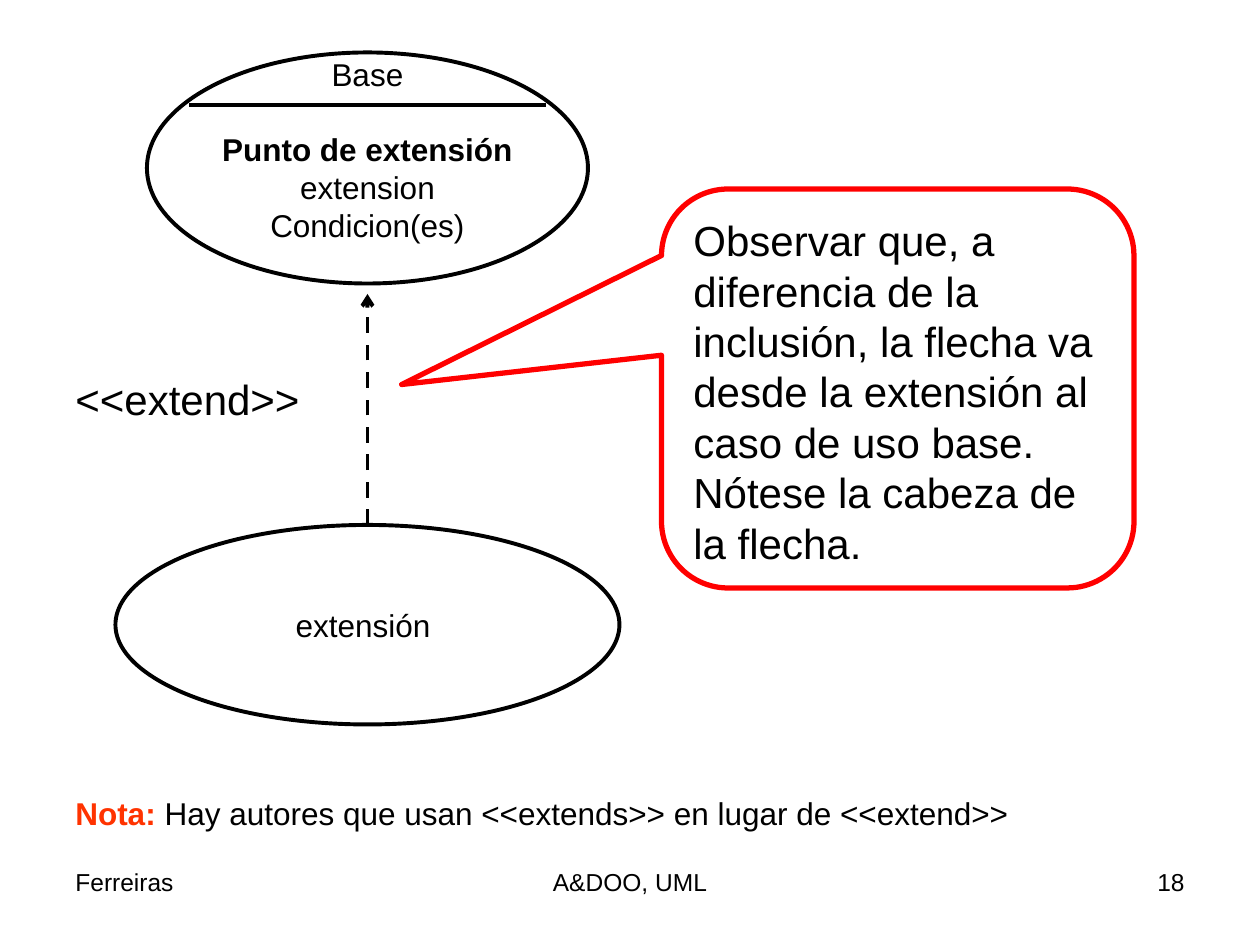
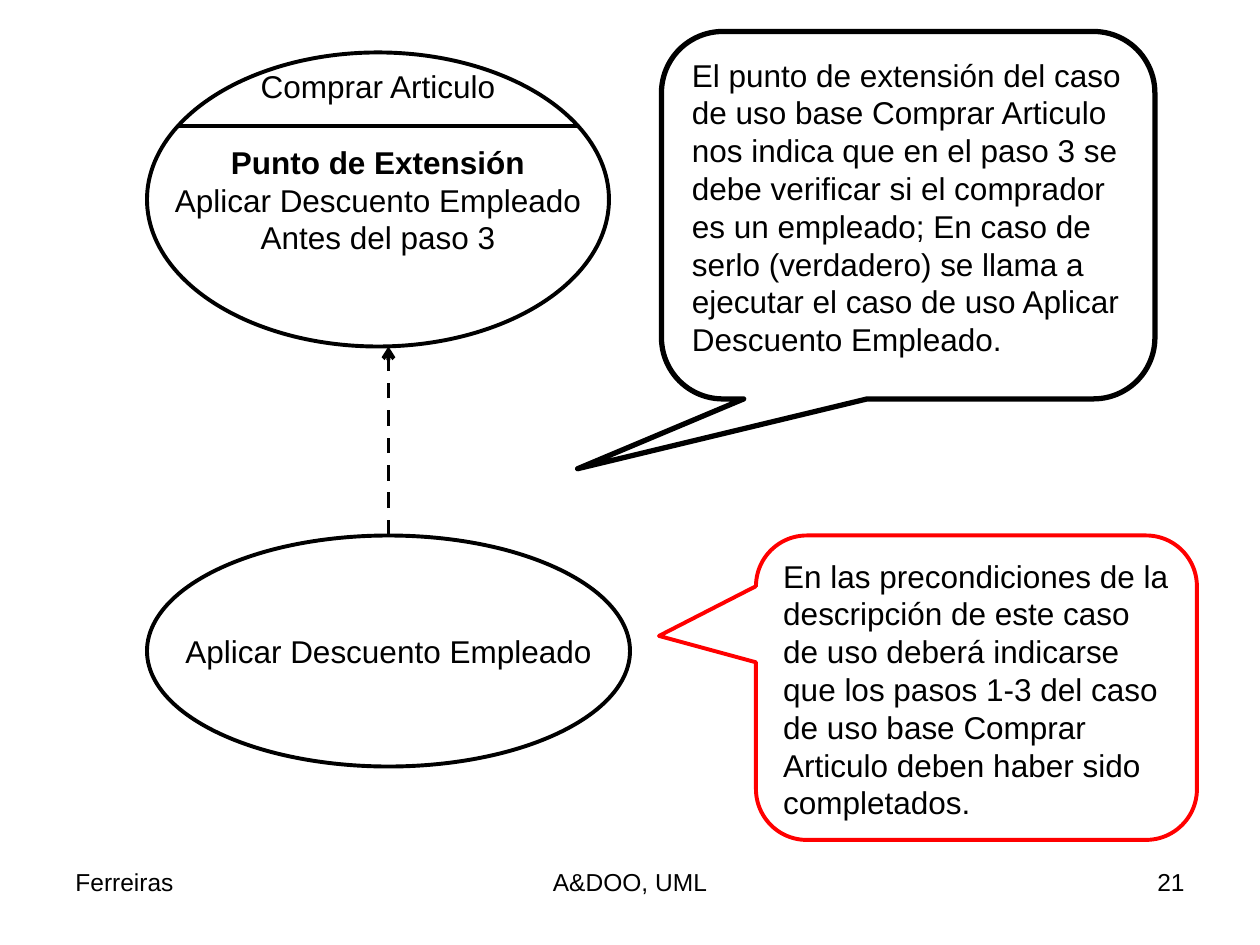
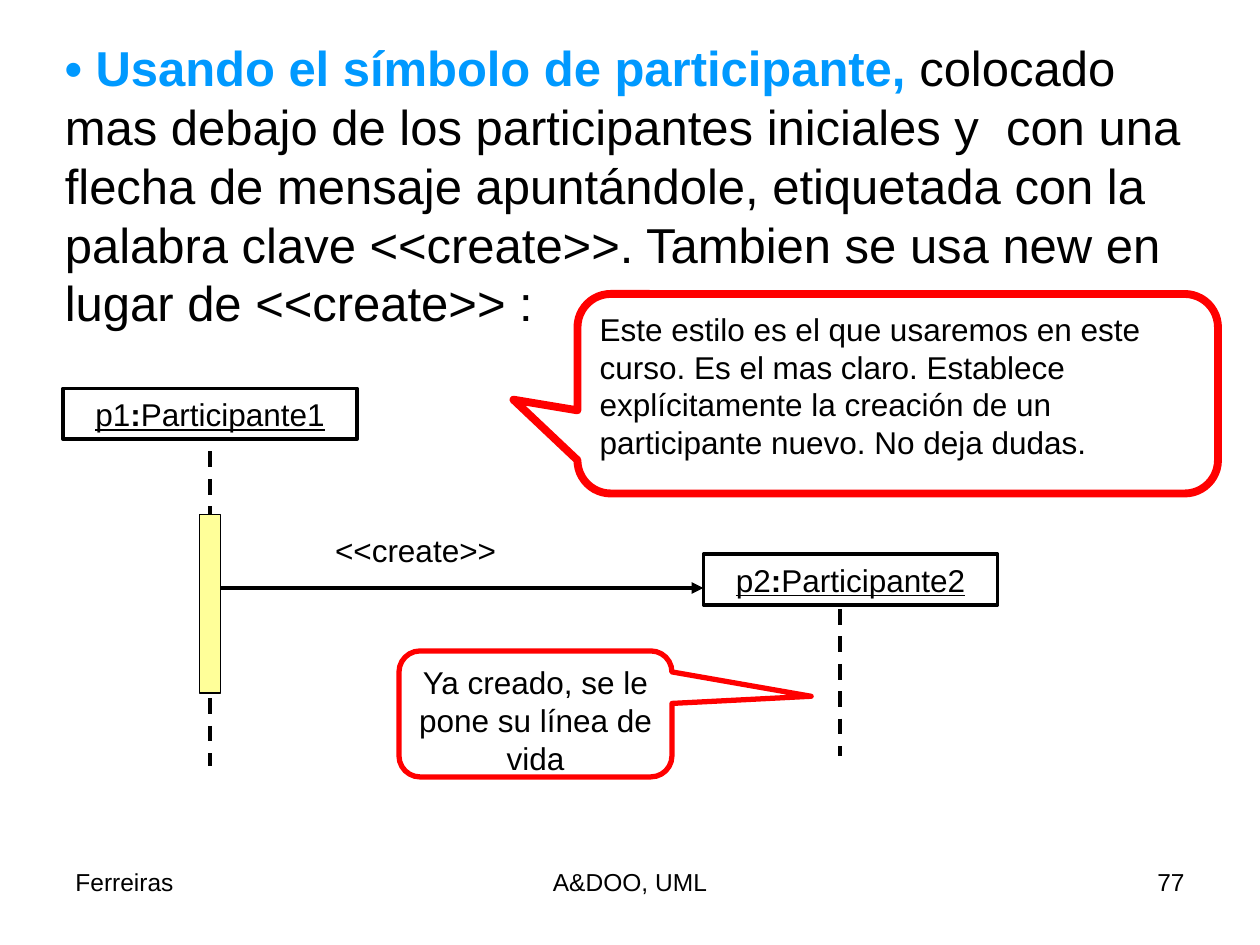
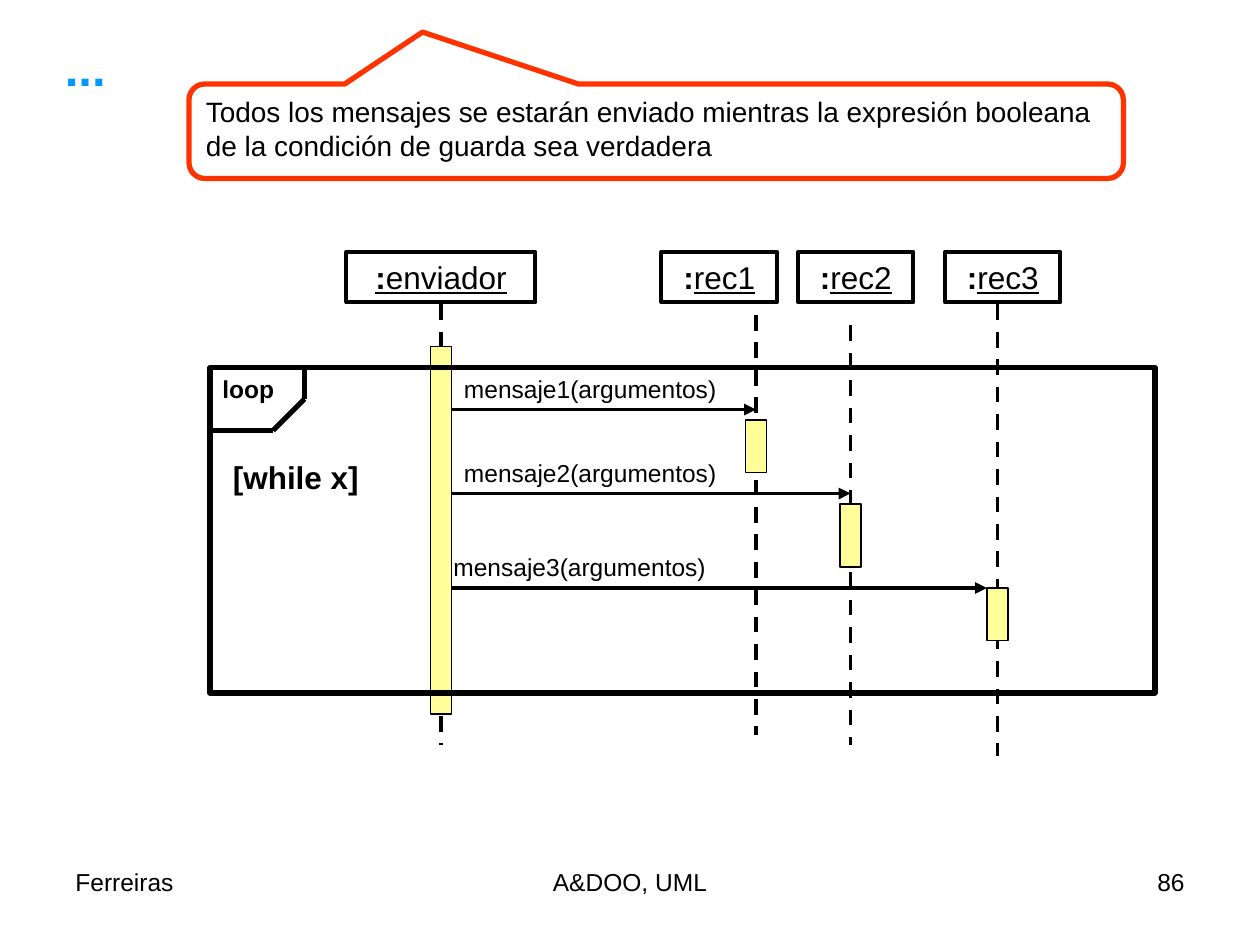
from pptx import Presentation
from pptx.dml.color import RGBColor
from pptx.enum.dml import MSO_LINE
from pptx.enum.shapes import MSO_CONNECTOR, MSO_SHAPE
from pptx.enum.text import MSO_ANCHOR, MSO_AUTO_SIZE, PP_ALIGN
from pptx.oxml.ns import qn
from pptx.util import Inches, Pt
from lxml.etree import SubElement

# The grid has 120 columns and 90 rows; one cell is a twelfth of an inch.
COLS, ROWS = 120, 90
CELL = Inches(10) / COLS
FONT = "Arial"
HEX = {"ink": "000000", "red": "FF0000", "flame": "FF3300",
       "sky": "0099FF", "lemon": "FFFF99"}
THIN, LINE, BOLD = 0.75, 2.25, 3
ROW = 21.6  # one line of 18 pt text, in points
LEFT, MID, RIGHT = PP_ALIGN.LEFT, PP_ALIGN.CENTER, PP_ALIGN.RIGHT
HEAD = {"bold": True, "color": "sky", "size": Pt(28)}


def cells(*nums):
    """Turn grid cells into slide lengths."""
    return [round(num * CELL) for num in nums]


def tint(name):
    """Give the colour of that name."""
    return RGBColor.from_string(HEX[name])


def style(obj, form):
    """Set each attribute in a dict of format values."""
    for key, value in form.items():
        if key == "color":
            obj.color.rgb = tint(value)
        else:
            setattr(obj, key, value)


def write(frame, paras, size=18, align=LEFT, **form):
    """Fill a text frame; a paragraph is a string or a list of runs."""
    base = {"word_wrap": True, "vertical_anchor": MSO_ANCHOR.TOP}
    style(frame, {**base, **form})
    for num, runs in enumerate(paras):
        para = frame.add_paragraph() if num else frame.paragraphs[0]
        para.alignment = align
        for text, look in [(runs, {})] if isinstance(runs, str) else runs:
            run = para.add_run()
            run.text = text
            style(run.font, {"name": FONT, "size": Pt(size),
                             "color": "ink", **look})
    return frame


def label(slide, box, runs, **form):
    """Add a text box with one paragraph."""
    frame = slide.shapes.add_textbox(*cells(*box)).text_frame
    return write(frame, [runs], **form)


def shape(slide, kind, box, line="ink", width=LINE, fill=None):
    """Add a flat outlined shape, filled if a colour is given."""
    item = slide.shapes.add_shape(kind, *cells(*box))
    item.shadow.inherit = False
    if fill:
        item.fill.solid()
        item.fill.fore_color.rgb = tint(fill)
    else:
        item.fill.background()
    style(item.line, {"color": line, "width": Pt(width)})
    return item


def link(slide, start, end, width=LINE, dash=False, tip=None):
    """Draw a straight line, dashed or with an arrow tip if asked."""
    item = slide.shapes.add_connector(MSO_CONNECTOR.STRAIGHT,
                                      *cells(*start, *end))
    style(item.line, {"color": "ink", "width": Pt(width)})
    if dash:
        item.line.dash_style = MSO_LINE.DASH
    if tip:
        SubElement(item.line._get_or_add_ln(), qn("a:tailEnd"), type=tip)
    SubElement(item._element.spPr, qn("a:effectLst"))


def oval(slide, box, lines, drop=0):
    """Add a use case; lines after the first stand one row lower."""
    item = shape(slide, MSO_SHAPE.OVAL, box)
    frame = write(item.text_frame, lines, align=MID, word_wrap=False,
                  vertical_anchor=MSO_ANCHOR.MIDDLE,
                  margin_bottom=Inches(0.05) + Pt(drop * ROW))
    for para in frame.paragraphs[1:2]:
        para.space_before = Pt(ROW)


def bubble(slide, box, tip, text, line="red", width=BOLD, **form):
    """Add a rounded callout; tip is its offset as shares of the box."""
    item = shape(slide, MSO_SHAPE.ROUNDED_RECTANGULAR_CALLOUT, box,
                 line, width)
    for num, value in enumerate((*tip, 0.167)):
        item.adjustments[num] = value
    write(item.text_frame, [text], **form)


def part(slide, left, top, width, runs):
    """Add the name box of a participant."""
    item = shape(slide, MSO_SHAPE.RECTANGLE, (left, top, width, 4.8))
    write(item.text_frame, [runs], align=MID,
          auto_size=MSO_AUTO_SIZE.SHAPE_TO_FIT_TEXT)


def life(slide, col, top, end):
    """Draw a dashed lifeline."""
    link(slide, (col, top), (col, end), dash=True)


def bar(slide, col, top, rows):
    """Add an activation bar centred on a lifeline."""
    shape(slide, MSO_SHAPE.RECTANGLE, (col - 1, top, 2, rows),
          width=THIN, fill="lemon")


def foot(slide, page):
    """Add the three footer texts."""
    for left, wide, text, align in ((41, 38, "A&DOO, UML", MID),
                                    (86, 28, str(page), RIGHT),
                                    (6, 28, "Ferreiras", LEFT)):
        label(slide, (left, 82, wide, 6.25), text, size=14, align=align)


def extend(slide):
    """Show the extend relation in general."""
    oval(slide, (14, 5, 42, 22),
         ["Base", [("Punto de extensión", {"bold": True})],
          "extension", "Condicion(es)"], drop=1)
    oval(slide, (11, 50, 48, 19), ["extensión "])
    link(slide, (35, 50), (35, 28), dash=True, tip="arrow")
    label(slide, (6, 35, 27, 6), "<<extend>>", size=24)
    bubble(slide, (63, 18, 45, 38), (-1.05, -0.01),
           "Observar que, a diferencia de la inclusión, la flecha va desde "
           "la extensión al caso de uso base. Nótese la cabeza de la flecha.",
           size=24)
    label(slide, (6, 75, 97, 4.8),
          [("Nota:", {"bold": True, "color": "flame"}),
           (" Hay autores que usan <<extends>> en lugar de <<extend>>", {})])
    link(slide, (18, 10), (52, 10))


def buy(slide):
    """Show the extend relation in a purchase."""
    oval(slide, (14, 5, 44, 28),
         ["Comprar Articulo", [("Punto de Extensión", {"bold": True})],
          "Aplicar Descuento Empleado", "Antes del paso 3"], drop=2)
    link(slide, (17, 12), (55, 12))
    oval(slide, (14, 51, 46, 22), ["Aplicar Descuento Empleado"])
    link(slide, (37, 51), (37, 33), dash=True, tip="arrow")
    bubble(slide, (63, 3, 47, 35), (-0.67, 0.69),
           "El punto de extensión del caso de uso base Comprar Articulo nos "
           "indica que en el paso 3 se debe verificar si el comprador es un "
           "empleado; En caso de serlo (verdadero) se llama a ejecutar el "
           "caso de uso Aplicar Descuento Empleado.", line="ink")
    bubble(slide, (72, 51, 42, 29), (-0.72, -0.17),
           "En las precondiciones de la descripción de este caso de uso "
           "deberá indicarse que los pasos 1-3 del caso de uso base Comprar "
           "Articulo deben haber sido completados.", width=LINE)


def create(slide):
    """Show how a message creates a participant."""
    label(slide, (5, 3, 109, 29.3),
          [("• Usando el símbolo de participante,", HEAD),
           (" colocado mas debajo de los participantes iniciales y  con una "
            "flecha de mensaje apuntándole, etiquetada con la palabra clave "
            "<<create>>. Tambien se usa new en lugar de <<create>> :", {})],
          size=28)
    under = {"underline": True}
    for num, left, top in ((2, 67, 52.8), (1, 6, 37)):
        part(slide, left, top, 28,
             [(f"p{num}", under), (":", {"bold": True, **under}),
              (f"Participante{num}", under)])
    life(slide, 20, 43, 73)
    life(slide, 80, 58, 72)
    bar(slide, 20, 49, 17)
    link(slide, (21, 56), (67, 56), tip="triangle")
    label(slide, (25, 50, 30, 4.8), "<<create>> ", align=MID)
    bubble(slide, (38, 62, 26, 12), (1.01, -0.14),
           "Ya creado, se le pone su línea de vida", align=MID)
    bubble(slide, (55, 28, 61, 19), (-0.6, 0.03),
           "Este estilo es el que usaremos en este curso. Es el mas claro. "
           "Establece explícitamente la creación de un participante nuevo. "
           "No deja dudas.", width=4.5)


def loop(slide):
    """Show a loop frame around three messages."""
    label(slide, (5, 3, 111, 6.8), [("...", HEAD)])
    part(slide, 33, 24, 18, [(":", {"bold": True, "underline": True}),
                             ("enviador", {"underline": True})])
    life(slide, 42, 29, 71)
    bar(slide, 42, 33, 35)
    shape(slide, MSO_SHAPE.RECTANGLE, (20, 35, 90, 31), width=BOLD)
    label(slide, (20, 35, 8, 4.1), [("loop", {"bold": True})], size=14)
    corner = [(20, 41), (26, 41), (29, 38), (29, 35)]
    for start, end in zip(corner, corner[1:]):
        link(slide, start, end, BOLD)
    label(slide, (21, 43, 14.4, 4.8), [("[while x]", {"bold": True})],
          word_wrap=False)
    # name box; lifeline: column, top, end; bar: top, rows;
    # message: row, end column, text column
    recs = ((63, 72, 30, 70, 40, 5, 39, 72, 43),
            (76, 81, 31, 71, 48, 6, 47, 81, 43),
            (90, 95, 29, 72, 56, 5, 56, 94, 42))
    for num, rec in enumerate(recs, 1):
        left, col, top, end, start, rows, row, stop, text = rec
        part(slide, left, 24, 11, [(":", {"bold": True}),
                                   (f"rec{num}", {"underline": True})])
        life(slide, col, top, end)
        bar(slide, col, start, rows)
        link(slide, (43, row), (stop, row), tip="triangle")
        label(slide, (text, row - 4, 32, 4.1), f"mensaje{num}(argumentos)",
              size=14)
    bubble(slide, (18, 8, 89, 9), (-0.25, -1.05),
           "Todos los mensajes se estarán enviado mientras la expresión "
           "booleana de la condición de guarda sea verdadera",
           line="flame", size=16)


def main():
    """Build and save the slides."""
    deck = Presentation()
    deck.slide_width, deck.slide_height = cells(COLS, ROWS)
    for draw, page in ((extend, 18), (buy, 21), (create, 77), (loop, 86)):
        slide = deck.slides.add_slide(deck.slide_layouts[6])
        draw(slide)
        foot(slide, page)
    deck.save("out.pptx")


main()
